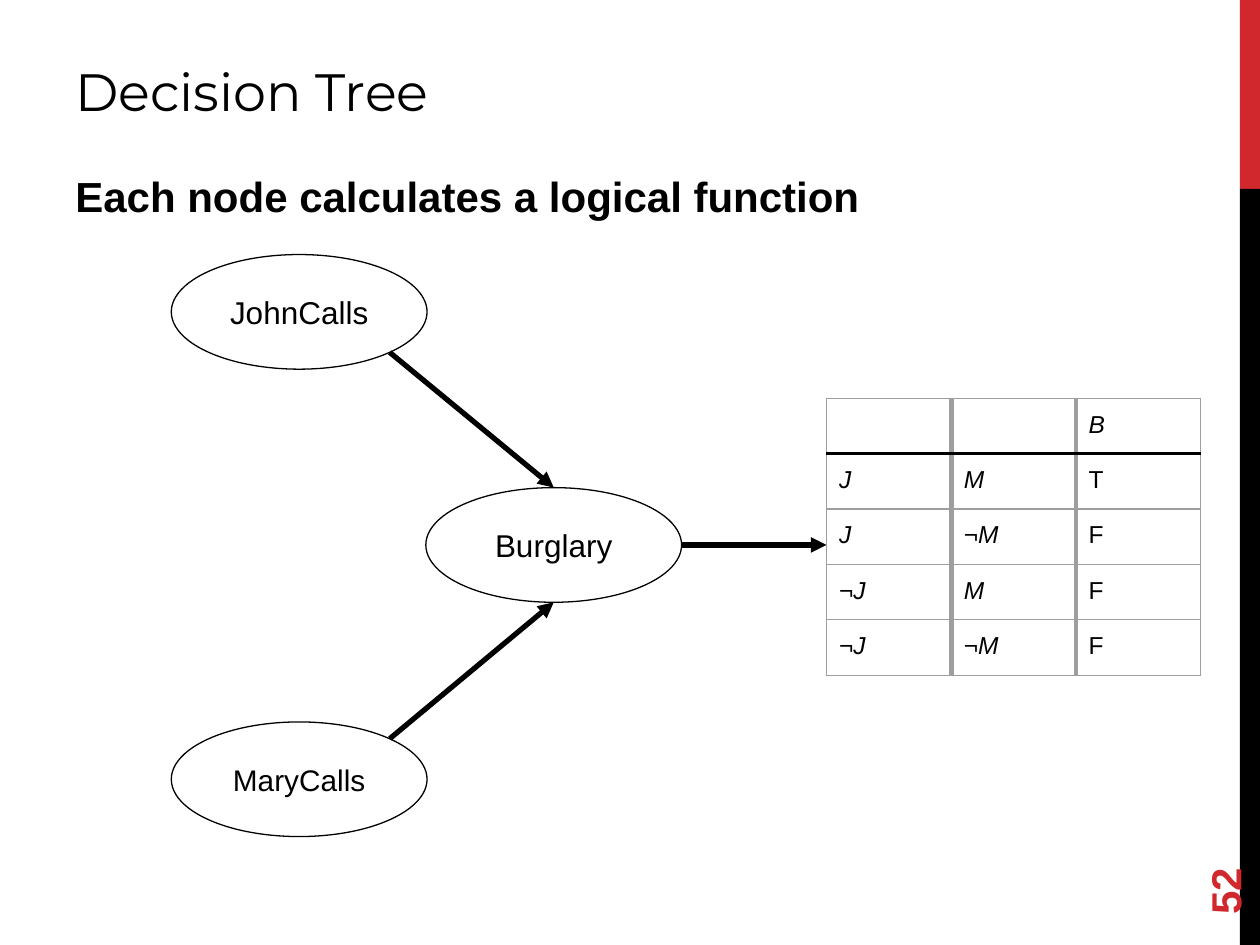
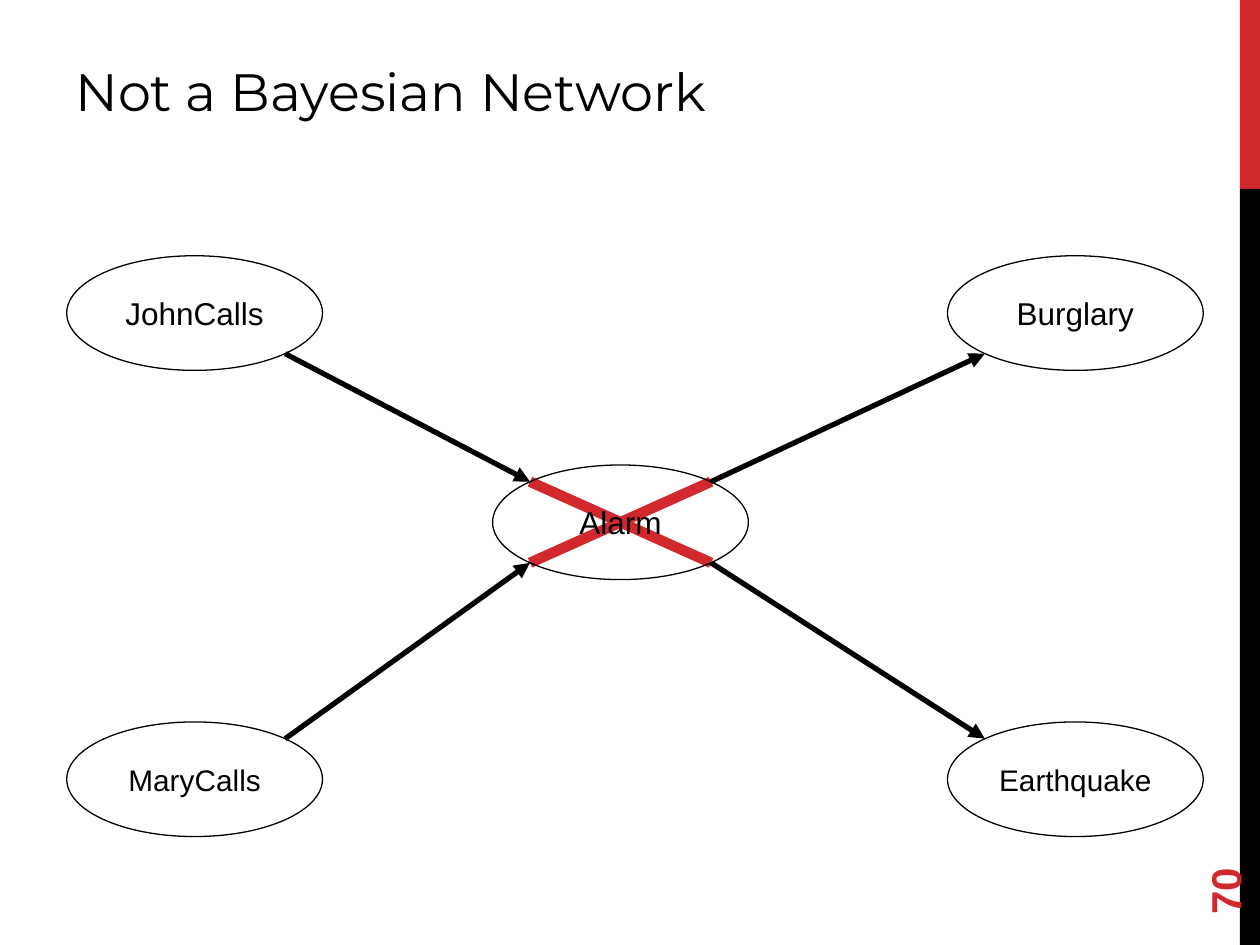
from lxml import etree
from pptx import Presentation
from pptx.dml.color import RGBColor
from pptx.enum.shapes import MSO_CONNECTOR, MSO_SHAPE
from pptx.enum.text import MSO_ANCHOR, PP_ALIGN
from pptx.oxml.ns import qn
from pptx.util import Inches, Pt

RECTANGLE, OVAL = MSO_SHAPE.RECTANGLE, MSO_SHAPE.OVAL
STRAIGHT = MSO_CONNECTOR.STRAIGHT
CENTER = PP_ALIGN.CENTER
MIDDLE, BOTTOM = MSO_ANCHOR.MIDDLE, MSO_ANCHOR.BOTTOM

color = RGBColor.from_string
RED, BLACK, GRAY = "D1282E", "000000", "9E9E9E"
BODY_FONT, TITLE_FONT = "Arial", "Montserrat"

WIDTH, HEIGHT = 10, 7.5
BAND_LEFT = WIDTH - 0.16
BAND_SPLIT = HEIGHT / 5
MARGIN = WIDTH / 20
CONTENT_WIDTH = 8.84
NODE_WIDTH, NODE_HEIGHT = 2.03, 0.91

# Points on a node's outline, as shares of its width and height
NEAR, FAR = 0.146, 0.854
OUTLINE = {
    "top": (0.5, 0), "bottom": (0.5, 1), "right": (1, 0.5),
    "top left": (NEAR, NEAR), "top right": (FAR, NEAR),
    "bottom left": (NEAR, FAR), "bottom right": (FAR, FAR),
}

TABLE_LEFT, TABLE_TOP = 6.56, 3.16
COLUMN_WIDTH, ROW_HEIGHT = 0.99, 0.44
TRUTH_TABLE = [
    ("", "", "B"),
    ("J", "M", "T"),
    ("J", "¬M", "F"),
    ("¬J", "M", "F"),
    ("¬J", "¬M", "F"),
]

# Nodes: name, column, row, text size. Arrows: node, point, node, point
SLIDES = [
    {
        "title": "Decision Tree", "number": "52",
        "columns": (1.36, 3.38), "rows": (2.02, 3.87, 5.73),
        "nodes": [("JohnCalls", 0, 0, 18), ("Burglary", 1, 1, 18),
                  ("MaryCalls", 0, 2, 17)],
        "crossed": None,
        "arrows": [("JohnCalls", "bottom right", "Burglary", "top"),
                   ("MaryCalls", "top right", "Burglary", "bottom")],
    },
    {
        "title": "Not a Bayesian Network", "number": "70",
        "columns": (0.53, 3.91, 7.52), "rows": (2.03, 3.69, 5.73),
        "nodes": [("JohnCalls", 0, 0, 18), ("MaryCalls", 0, 2, 17),
                  ("Burglary", 2, 0, 18), ("Earthquake", 2, 2, 17),
                  ("Alarm", 1, 1, 18)],
        "crossed": "Alarm",
        "arrows": [("JohnCalls", "bottom right", "Alarm", "top left"),
                   ("MaryCalls", "top right", "Alarm", "bottom left"),
                   ("Alarm", "top right", "Burglary", "bottom left"),
                   ("Alarm", "bottom right", "Earthquake", "top left")],
    },
]


def write(text_frame, text, size, font=BODY_FONT, hue=BLACK, bold=False, italic=False):
    text_frame.text = text
    text_frame.word_wrap = True
    for run in text_frame.paragraphs[0].runs:
        run.font.name = font
        run.font.size = Pt(size)
        run.font.bold = bold
        run.font.italic = italic
        run.font.color.rgb = color(hue)


def draw_line(slide, start, end, hue=BLACK, weight=3, arrow=True):
    points = [Inches(value) for value in (*start, *end)]
    connector = slide.shapes.add_connector(STRAIGHT, *points)
    connector.line.color.rgb = color(hue)
    connector.line.width = Pt(weight)
    if arrow:
        line = connector.line._get_or_add_ln()
        etree.SubElement(line, qn("a:tailEnd"), type="triangle")
    etree.SubElement(connector._element.spPr, qn("a:effectLst"))


presentation = Presentation()
presentation.slide_width = Inches(WIDTH)
presentation.slide_height = Inches(HEIGHT)
blank_layout = presentation.slide_layouts[6]

for content in SLIDES:
    slide = presentation.slides.add_slide(blank_layout)

    # Side bands
    for top, height, hue in ((0, BAND_SPLIT, RED),
                             (BAND_SPLIT, HEIGHT - BAND_SPLIT, BLACK)):
        band = slide.shapes.add_shape(
            RECTANGLE, Inches(BAND_LEFT), Inches(top),
            Inches(WIDTH - BAND_LEFT), Inches(height))
        band.shadow.inherit = False
        band.fill.solid()
        band.fill.fore_color.rgb = color(hue)
        band.line.fill.background()

    # Title and slide number
    title = slide.shapes.add_textbox(
        Inches(MARGIN), Inches(0.17), Inches(CONTENT_WIDTH), Inches(0.85))
    write(title.text_frame, content["title"], 30, TITLE_FONT)
    title.text_frame.vertical_anchor = BOTTOM
    number = slide.shapes.add_textbox(
        Inches(9), Inches(6.44), Inches(1.44), Inches(0.4))
    number.rotation = 270
    write(number.text_frame, content["number"], 24, hue=RED, bold=True)
    number.text_frame.vertical_anchor = MIDDLE

    # Outline points of every node
    points = {}
    for name, column, row, size in content["nodes"]:
        left, top = content["columns"][column], content["rows"][row]
        for place, (across, down) in OUTLINE.items():
            points[name, place] = (left + across * NODE_WIDTH,
                                   top + down * NODE_HEIGHT)

    # Red cross behind the crossed-out node
    crossed = content["crossed"]
    if crossed:
        for start, end in (("top left", "bottom right"),
                           ("bottom left", "top right")):
            draw_line(slide, points[crossed, start], points[crossed, end],
                      RED, 6, arrow=False)

    # Nodes
    for name, column, row, size in content["nodes"]:
        node = slide.shapes.add_shape(
            OVAL, Inches(content["columns"][column]), Inches(content["rows"][row]),
            Inches(NODE_WIDTH), Inches(NODE_HEIGHT))
        node.shadow.inherit = False
        node.fill.background()
        node.line.color.rgb = color(BLACK)
        node.line.width = Pt(0.75)
        text_frame = node.text_frame
        write(text_frame, name, size)
        text_frame.vertical_anchor = MIDDLE
        text_frame.margin_top = text_frame.margin_bottom = Inches(0.1)
        text_frame.paragraphs[0].alignment = CENTER

    # Arrows
    for source, start, target, end in content["arrows"]:
        draw_line(slide, points[source, start], points[target, end])

    if content["title"] != "Decision Tree":
        continue

    # Arrow from the last node to the truth table
    start = points["Burglary", "right"]
    draw_line(slide, start, (TABLE_LEFT, start[1]))

    # Truth table
    row_count, column_count = len(TRUTH_TABLE), len(TRUTH_TABLE[0])
    table = slide.shapes.add_table(
        row_count, column_count, Inches(TABLE_LEFT), Inches(TABLE_TOP),
        Inches(column_count * COLUMN_WIDTH), Inches(row_count * ROW_HEIGHT)).table
    table.first_row = table.horz_banding = False
    for column in table.columns:
        column.width = Inches(COLUMN_WIDTH)
    for row_index, row in enumerate(TRUTH_TABLE):
        table.rows[row_index].height = Inches(ROW_HEIGHT)
        for column_index, text in enumerate(row):
            cell = table.cell(row_index, column_index)
            cell.fill.background()
            cell.margin_left = cell.margin_right = Inches(0.1)
            cell.margin_top = cell.margin_bottom = Inches(0.1)
            write(cell.text_frame, text, 14, italic=text not in ("T", "F"))
            if not text:
                paragraph = cell.text_frame.paragraphs[0]
                etree.SubElement(paragraph._p, qn("a:endParaRPr"), sz="1400")

            # Thick rules between columns, a black rule under the header
            thin, thick, header = (GRAY, 0.75), (GRAY, 3), (BLACK, 1.5)
            borders = {
                "L": thick if column_index > 0 else thin,
                "R": thick if column_index < column_count - 1 else thin,
                "T": header if row_index == 1 else thin,
                "B": header if row_index == 0 else thin,
            }
            properties = cell._tc.get_or_add_tcPr()
            for position, (side, (hue, weight)) in enumerate(borders.items()):
                border = etree.Element(qn(f"a:ln{side}"), w=str(Pt(weight)))
                fill = etree.SubElement(border, qn("a:solidFill"))
                etree.SubElement(fill, qn("a:srgbClr"), val=hue)
                properties.insert(position, border)

    # Statement under the title
    statement = slide.shapes.add_textbox(
        Inches(MARGIN), Inches(1.3), Inches(CONTENT_WIDTH), Inches(6.05))
    write(statement.text_frame, "Each node calculates a logical function", 24, bold=True)
    statement.text_frame.paragraphs[0].space_before = Pt(10.8)

presentation.save("out.pptx")
